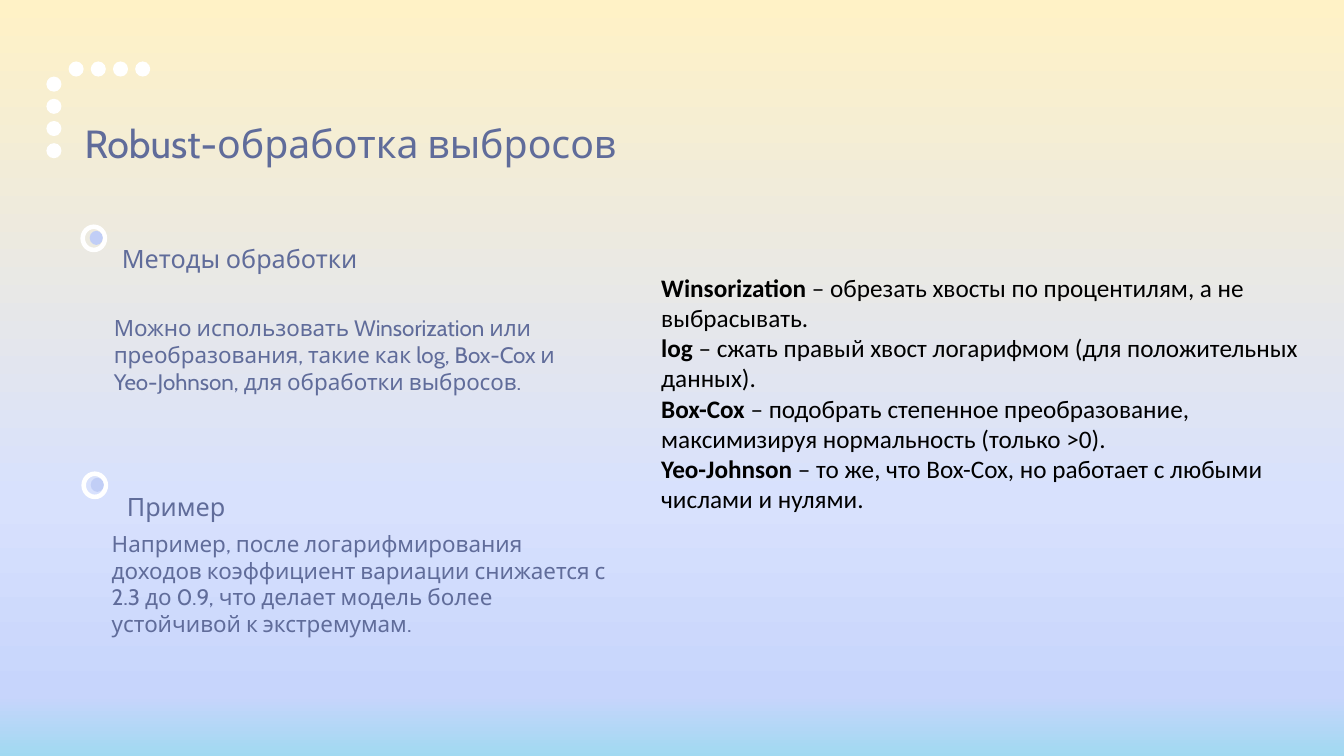
from lxml import etree
from pptx import Presentation
from pptx.dml.color import RGBColor
from pptx.enum.shapes import MSO_SHAPE
from pptx.enum.text import MSO_ANCHOR, PP_ALIGN
from pptx.oxml.ns import qn
from pptx.util import Inches, Pt

OVAL = MSO_SHAPE.OVAL
TOP, MIDDLE = MSO_ANCHOR.TOP, MSO_ANCHOR.MIDDLE
LEFT, JUSTIFY = PP_ALIGN.LEFT, PP_ALIGN.JUSTIFY

WHITE = RGBColor(0xFF, 0xFF, 0xFF)
BLACK = RGBColor(0x00, 0x00, 0x00)
SLATE = RGBColor(0x60, 0x6C, 0x9A)
PERIWINKLE = RGBColor(0xC1, 0xCE, 0xF6)
SKY_STOPS = [
    (0, RGBColor(0xFF, 0xF2, 0xC6)),
    (66, RGBColor(0xD8, 0xE1, 0xFD)),
    (92, RGBColor(0xC7, 0xD5, 0xFC)),
    (100, RGBColor(0xA1, 0xD9, 0xF1)),
]

DOT_SIZE = 0.15
DOT_STEP = 0.22
DOT_COUNT = 4

METHODS = [
    ("Winsorization", " – обрезать хвосты по процентилям, а не выбрасывать."),
    ("log", " – сжать правый хвост логарифмом (для положительных данных)."),
    ("Box-Cox", " – подобрать степенное преобразование, максимизируя нормальность (только >0)."),
    ("Yeo-Johnson", " – то же, что Box-Cox, но работает с любыми числами и нулями."),
]


def paint_background(slide):
    fill = slide.background.fill
    fill.gradient()
    fill.gradient_angle = 270
    stop_list = slide.element.find(".//" + qn("a:gsLst"))
    for stop in list(stop_list):
        stop_list.remove(stop)
    for percent, color in SKY_STOPS:
        stop = etree.SubElement(stop_list, qn("a:gs"), pos=str(percent * 1000))
        etree.SubElement(stop, qn("a:srgbClr"), val=str(color))


def add_circle(slide, left, top, width, height, fill=None, outline=None):
    circle = slide.shapes.add_shape(
        OVAL, Inches(left), Inches(top), Inches(width), Inches(height))
    circle.shadow.inherit = False
    if fill is None:
        circle.fill.background()
    else:
        circle.fill.solid()
        circle.fill.fore_color.rgb = fill
    if outline is None:
        circle.line.fill.background()
    else:
        circle.line.color.rgb = outline
        circle.line.width = Pt(3.25)


def add_corner_dots(slide):
    for i in range(DOT_COUNT):
        shift = i * DOT_STEP
        add_circle(slide, 0.68 + shift, 0.61, DOT_SIZE, DOT_SIZE, fill=WHITE)
        add_circle(slide, 0.46, 0.76 + shift, DOT_SIZE, DOT_SIZE, fill=WHITE)


def add_marker(slide, left, top):
    add_circle(slide, left, top, 0.22, 0.23, outline=WHITE)
    add_circle(slide, left + 0.07, top + 0.04, 0.13, 0.14, fill=PERIWINKLE)


def add_text_frame(slide, left, top, width, height, anchor):
    box = slide.shapes.add_textbox(
        Inches(left), Inches(top), Inches(width), Inches(height))
    frame = box.text_frame
    frame.word_wrap = True
    frame.vertical_anchor = anchor
    return frame


def add_run(paragraph, text, size, font_name, color, bold=False):
    run = paragraph.add_run()
    run.text = text
    run.font.size = Pt(size)
    run.font.name = font_name
    run.font.color.rgb = color
    run.font.bold = bold


def add_label(slide, text, left, top, width, height, size, align=LEFT):
    frame = add_text_frame(slide, left, top, width, height, MIDDLE)
    paragraph = frame.paragraphs[0]
    paragraph.alignment = align
    add_run(paragraph, text, size, "Cabin", SLATE)


def add_method_list(slide):
    frame = add_text_frame(slide, 6.46, 2.65, 6.74, 3.13, TOP)
    for i, (method, description) in enumerate(METHODS):
        paragraph = frame.add_paragraph() if i else frame.paragraphs[0]
        add_run(paragraph, method, 18, "Calibri", BLACK, bold=True)
        add_run(paragraph, description, 18, "Calibri", BLACK)


def main():
    deck = Presentation()
    deck.slide_width = Inches(13.33)
    deck.slide_height = Inches(7.5)
    slide = deck.slides.add_slide(deck.slide_layouts[6])

    paint_background(slide)
    add_corner_dots(slide)
    add_label(slide, "Robust-обработка выбросов", 0.74, 0.61, 5.93, 1.61, 28, JUSTIFY)

    add_marker(slide, 0.82, 2.25)
    add_marker(slide, 0.83, 4.7)
    add_label(slide, "Методы обработки", 1.11, 2.33, 4.99, 0.47, 18, JUSTIFY)
    add_label(
        slide,
        "Можно использовать Winsorization или преобразования, такие как log, "
        "Box-Cox и Yeo-Johnson, для обработки выбросов.",
        1.03, 2.66, 4.99, 1.72, 16)
    add_label(slide, "Пример", 1.16, 4.65, 4.63, 0.74, 18, JUSTIFY)
    add_label(
        slide,
        "Например, после логарифмирования доходов коэффициент вариации снижается "
        "с 2.3 до 0.9, что делает модель более устойчивой к экстремумам.",
        1.01, 4.86, 5.11, 1.86, 16)
    add_method_list(slide)

    deck.save("out.pptx")


if __name__ == "__main__":
    main()
